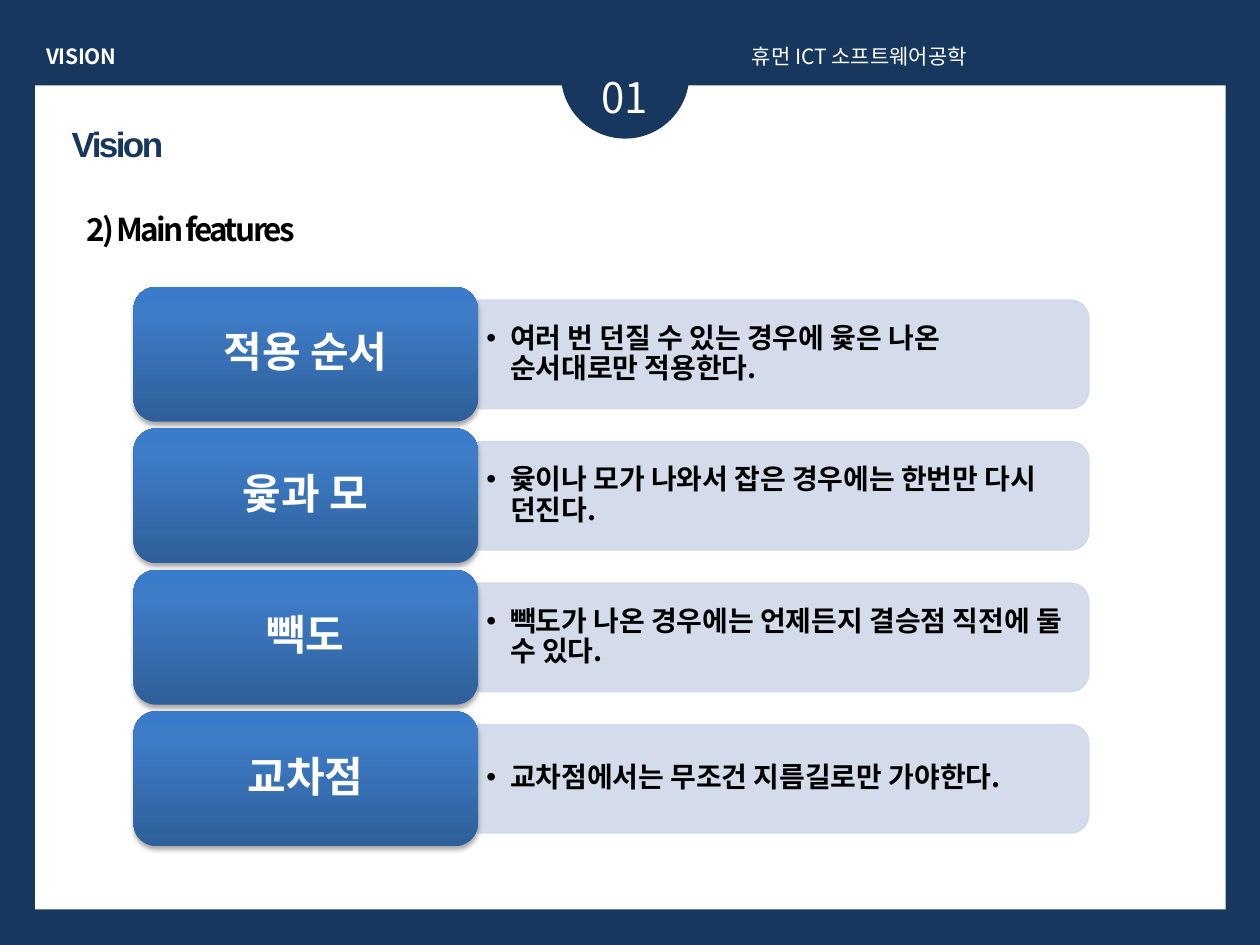
import copy
from dataclasses import dataclass

import pptx
import pptx.dml.color
import pptx.enum.shapes
import pptx.enum.text
import pptx.oxml
import pptx.oxml.ns
import pptx.util
from lxml import etree

Pt = pptx.util.Pt
qn = pptx.oxml.ns.qn
SHAPE = pptx.enum.shapes.MSO_SHAPE
ALIGN = pptx.enum.text.PP_ALIGN
ANCHOR = pptx.enum.text.MSO_ANCHOR


@dataclass(frozen=True)
class Theme:
    navy: str = "17375E"
    white: str = "FFFFFF"
    black: str = "000000"
    bar: str = "D0D8E8"
    label_stops: tuple = ((0, "2F5F99"), (0.8, "3D7CC7"), (1, "3A7CCB"))
    font: str = "Noto Sans CJK KR"
    title_font: str = "Arial"
    header_size: float = 12
    item_size: float = 16
    heading_size: float = 18
    title_size: float = 20
    large_size: float = 24


def rgb(value):
    return pptx.dml.color.RGBColor.from_string(value)


def place(shape, left, top, width, height):
    shape.left, shape.top = Pt(left), Pt(top)
    shape.width, shape.height = Pt(width), Pt(height)


class SlideBuilder:
    def __init__(self, slide, theme):
        self.slide, self.theme = slide, theme

    def background(self, color):
        self.slide.background.fill.solid()
        self.slide.background.fill.fore_color.rgb = rgb(color)

    def set_text(self, shape, text, size, color, bold=False, align=ALIGN.LEFT,
                 anchor=ANCHOR.TOP, font=None, tracking=None, wrap=True):
        frame = shape.text_frame
        frame.text = text
        frame.auto_size = pptx.enum.text.MSO_AUTO_SIZE.NONE
        frame.word_wrap = wrap
        frame.vertical_anchor = anchor
        paragraph = frame.paragraphs[0]
        paragraph.alignment = align
        paragraph.space_before = Pt(0)
        name = font or self.theme.font
        for run in paragraph.runs:
            run.font.size, run.font.bold = Pt(size), bold
            run.font.color.rgb = rgb(color)
            run.font.name = name
            properties = run._r.get_or_add_rPr()
            etree.SubElement(properties, qn("a:ea")).set("typeface", name)
            if tracking is not None:
                properties.set("spc", str(int(tracking * 100)))
        return paragraph

    def shape(self, kind, box, color):
        shape = self.slide.shapes.add_shape(kind, *map(Pt, box))
        shape.shadow.inherit = False
        shape.fill.solid()
        shape.fill.fore_color.rgb = rgb(color)
        shape.line.fill.background()
        return shape

    def text(self, box, text, size, color, **style):
        textbox = self.slide.shapes.add_textbox(*map(Pt, box))
        self.set_text(textbox, text, size, color, **style)

    def title(self, box, text):
        title = self.slide.shapes.title
        place(title, *box)
        self.set_text(title, text, self.theme.title_size, self.theme.navy, bold=True,
                      font=self.theme.title_font, tracking=-1.5)

    def bar(self, left, top, width, height):
        # Turned a quarter so that the rounded end is on the right
        upright = (left + (width - height) / 2, top + (height - width) / 2, height, width)
        bar = self.shape(SHAPE.ROUND_2_SAME_RECTANGLE, upright, self.theme.bar)
        bar.rotation = 90
        bar.line.color.rgb = rgb(self.theme.bar)
        bar.line.width = Pt(0.75)
        for color in bar._element.spPr.iter(qn("a:srgbClr")):
            etree.SubElement(color, qn("a:alpha")).set("val", "90000")

    def list_item(self, placeholder, box, text):
        place(placeholder, *box)
        # Bring the text in front of its bar
        self.slide.shapes._spTree.append(placeholder._element)
        paragraph = self.set_text(placeholder, text, self.theme.item_size,
                                  self.theme.black, bold=True, anchor=ANCHOR.MIDDLE)
        properties = paragraph._p.get_or_add_pPr()
        properties.set("marL", str(Pt(13.5)))
        properties.set("indent", str(-Pt(13.5)))
        etree.SubElement(properties, qn("a:buChar")).set("char", "•")
        paragraph.line_spacing = 0.9
        frame = placeholder.text_frame
        frame.margin_left, frame.margin_right = Pt(5), Pt(12)
        frame.margin_top = frame.margin_bottom = Pt(2.4)

    def label(self, box, text):
        label = self.shape(SHAPE.ROUNDED_RECTANGLE, box, self.theme.navy)
        label.fill.gradient()
        label.fill.gradient_angle = 90
        stop_list = label._element.spPr.find(".//" + qn("a:gsLst"))
        stop_list.append(copy.deepcopy(stop_list[-1]))
        for stop, (position, color) in zip(label.fill.gradient_stops, self.theme.label_stops):
            stop.position = position
            stop.color.rgb = rgb(color)
        effects = label._element.spPr.find(qn("a:effectLst"))
        shadow = etree.SubElement(effects, qn("a:outerShdw"), blurRad=str(Pt(3.1)),
                                  dist=str(Pt(1.8)), dir="5400000", rotWithShape="0")
        shade = etree.SubElement(shadow, qn("a:srgbClr"), val=self.theme.black)
        etree.SubElement(shade, qn("a:alpha"), val="35000")
        paragraph = self.set_text(label, text, self.theme.large_size, self.theme.white,
                                  bold=True, align=ALIGN.CENTER, anchor=ANCHOR.MIDDLE)
        paragraph.line_spacing = 0.9


FEATURES = (
    ("적용 순서", "여러 번 던질 수 있는 경우에 윷은 나온 순서대로만 적용한다."),
    ("윷과 모", "윷이나 모가 나와서 잡은 경우에는 한번만 다시 던진다."),
    ("빽도", "빽도가 나온 경우에는 언제든지 결승점 직전에 둘 수 있다."),
    ("교차점", "교차점에서는 무조건 지름길로만 가야한다."),
)
FIRST_TOP, ROW_PITCH = 164, 80.85
LABEL_LEFT, LABEL_WIDTH, LABEL_HEIGHT = 76.3, 196.7, 77
BAR_WIDTH, BAR_HEIGHT = 349.2, 62
ITEM_WIDTH, ITEM_HEIGHT = 346.3, 55.4


def main():
    deck = pptx.Presentation()
    deck.slide_width, deck.slide_height = Pt(720), Pt(540)
    theme = Theme()
    # The comparison layout has a title and four body placeholders
    slide = deck.slides.add_slide(deck.slide_layouts[4])
    bodies = [p for p in slide.placeholders if p.placeholder_format.idx != 0]
    builder = SlideBuilder(slide, theme)

    # Frame and header
    builder.background(theme.navy)
    page = builder.shape(SHAPE.RECTANGLE, (20, 48.8, 680.4, 470.8), theme.white)
    slide.shapes._spTree.insert(2, page._element)
    builder.shape(SHAPE.OVAL, (320.5, 5.8, 73.4, 73.4), theme.navy)
    builder.text((15.8, 21.6, 61.2, 21.6), "V I S I O N", theme.header_size, theme.white,
                 bold=True, align=ALIGN.CENTER, tracking=-1.5, wrap=False)
    builder.text((314.6, 37.4, 85, 36), "01", theme.large_size, theme.white,
                 align=ALIGN.CENTER)
    builder.text((422.6, 21.6, 283.7, 21.6), "휴먼 ICT 소프트웨어공학",
                 theme.header_size, theme.white, align=ALIGN.JUSTIFY)

    # Title and heading
    builder.title((33.8, 66.2, 136, 60.5), "Vision")
    builder.text((42.5, 116.6, 532.8, 28.8), "2) Main features", theme.heading_size,
                 theme.black, bold=True, tracking=-1.5)

    # Feature rows
    bar_left = LABEL_LEFT + LABEL_WIDTH
    for row, ((name, rule), body) in enumerate(zip(FEATURES, bodies)):
        top = FIRST_TOP + row * ROW_PITCH
        middle = top + LABEL_HEIGHT / 2
        builder.bar(bar_left, middle - BAR_HEIGHT / 2, BAR_WIDTH, BAR_HEIGHT)
        builder.list_item(body, (bar_left, middle - ITEM_HEIGHT / 2, ITEM_WIDTH, ITEM_HEIGHT), rule)
        builder.label((LABEL_LEFT, top, LABEL_WIDTH, LABEL_HEIGHT), name)

    deck.save("out.pptx")


if __name__ == "__main__":
    main()
